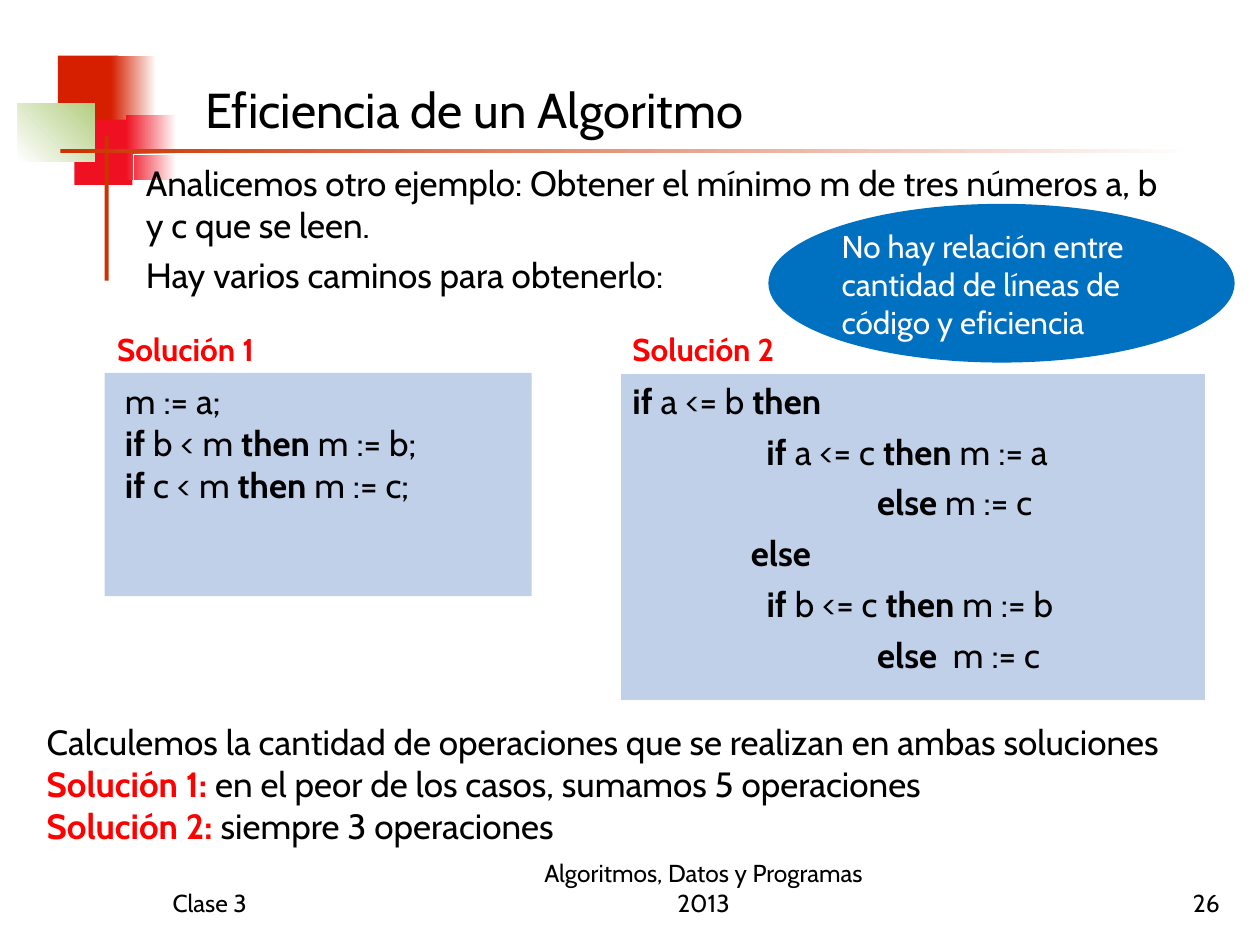
from pptx import Presentation
from pptx import util as u
from pptx.dml.color import RGBColor
from pptx.enum import shapes, text

BLACK = RGBColor(0x00, 0x00, 0x00)
WHITE = RGBColor(0xFF, 0xFF, 0xFF)
RED = RGBColor(0xFF, 0x00, 0x00)
BRICK = RGBColor(0xD6, 0x1F, 0x00)
SCARLET = RGBColor(0xEF, 0x11, 0x21)
GREEN = RGBColor(0xB3, 0xCE, 0x82)
RUST = RGBColor(0xCC, 0x33, 0x00)
PALE_BLUE = RGBColor(0xC1, 0xD0, 0xE9)
BLUE = RGBColor(0x00, 0x70, 0xC0)

deck = Presentation()
deck.slide_width = u.Cm(25.4)
deck.slide_height = u.Cm(19.05)
slide = deck.slides.add_slide(deck.slide_layouts[6])


def add_block(box, fill=None, fade=None, angle=0, line=None,
              preset=shapes.MSO_SHAPE.RECTANGLE):
    block = slide.shapes.add_shape(preset, *map(u.Cm, box))
    block.shadow.inherit = False
    if fade:
        block.fill.gradient()
        block.fill.gradient_angle = angle
        for stop, color in zip(block.fill.gradient_stops, (fill, fade)):
            stop.color.rgb = color
        block.fill.gradient_stops[0].position = 0
        block.fill.gradient_stops[1].position = 1
    elif fill:
        block.fill.solid()
        block.fill.fore_color.rgb = fill
    else:
        block.fill.background()
    if line:
        block.line.color.rgb = line
        block.line.width = u.Pt(0.75)
    else:
        block.line.fill.background()
    return block


def write(lines, box=None, block=None, size=20, color=BLACK, strong=BLACK,
          align=text.PP_ALIGN.LEFT, anchor=text.MSO_ANCHOR.TOP,
          before=0, inset=(0.25, 0.13)):
    holder = block or slide.shapes.add_textbox(*map(u.Cm, box))
    frame = holder.text_frame
    frame.word_wrap = True
    frame.vertical_anchor = anchor
    frame.margin_left = frame.margin_right = u.Cm(inset[0])
    frame.margin_top = frame.margin_bottom = u.Cm(inset[1])
    for row, content in enumerate(lines):
        paragraph = frame.paragraphs[0] if row == 0 else frame.add_paragraph()
        paragraph.alignment = align
        if row:
            paragraph.space_before = u.Pt(before)
        for part, words in enumerate(content.split("*")):
            if words:
                run = paragraph.add_run()
                run.text = words
                run.font.name = "Cabin"
                run.font.size = u.Pt(size)
                run.font.bold = part % 2 == 1
                run.font.color.rgb = strong if part % 2 else color


for box, fill, fade, angle in [
    ((1.17, 1.12, 1.22, 1.32), BRICK, None, 0),
    ((2.24, 1.12, 0.91, 1.32), BRICK, WHITE, 0),
    ((1.5, 2.41, 1.17, 1.32), SCARLET, None, 0),
    ((2.54, 2.31, 1.02, 1.32), SCARLET, WHITE, 0),
    ((0.36, 2.08, 1.55, 1.17), WHITE, GREEN, 45),
    ((2.11, 2.74, 0.08, 2.92), RUST, None, 0),
    ((1.22, 3, 22.86, 0.08), RUST, WHITE, 0),
]:
    add_block(box, fill, fade, angle)

for label, left, width, align in [
    ("Clase 3", 3.23, 5.28, text.PP_ALIGN.LEFT),
    ("26", 19.56, 5.28, text.PP_ALIGN.RIGHT),
    ("Algoritmos, Datos y Programas 2013", 10.16, 8.05, text.PP_ALIGN.CENTER),
]:
    write([label], (left, 17.35, width, 1.27), size=14, align=align,
          anchor=text.MSO_ANCHOR.BOTTOM)

write(["Eficiencia de un Algoritmo"], (3.89, 0.58, 18.85, 2.34), size=28,
      anchor=text.MSO_ANCHOR.BOTTOM)

problem = add_block((2.69, 3.12, 21.01, 3.58), line=WHITE)
write([
    "Analicemos otro ejemplo: Obtener el mínimo m de tres números a, b y c que se leen.",
    "Hay varios caminos para obtenerlo:",
], block=problem, before=5)

write([
    "Calculemos la cantidad de operaciones que se realizan en ambas soluciones",
    "*Solución 1: *en el peor de los casos, sumamos 5 operaciones",
    "*Solución 2:* siempre 3 operaciones",
], (0.69, 14.4, 24.21, 3.66), strong=RED)

short_code = [
    "* *m := a;",
    "* if *b < m *then *m := b;",
    "* if *c < m *then *m := c;",
]
nested_code = [
    "*if* a <= b *then*",
    "*                 if* a <= c *then *m := a",
    "                               *else *m := c",
    "               *else*",
    "                 *if* b <= c *then *m := b",
    "                               *else*  m := c",
]
for heading, code, left, width, height, line, before in [
    ("*Solución 1*", short_code, 2.11, 8.61, 4.5, None, 0),
    ("*Solución 2*", nested_code, 12.5, 11.81, 6.6, WHITE, 5),
]:
    panel = add_block((left, 7.52, width, height), PALE_BLUE, line=line)
    write(code, block=panel, before=before)
    write([heading], (left, 6.53, 4.39, 1.02), size=18, strong=RED)

remark = add_block((15.49, 4.11, 9.4, 3.2), BLUE, preset=shapes.MSO_SHAPE.OVAL)
write(["No hay relación entre cantidad de líneas de código y eficiencia"],
      block=remark, size=18, color=WHITE, inset=(0.1, 0))

deck.save("out.pptx")
